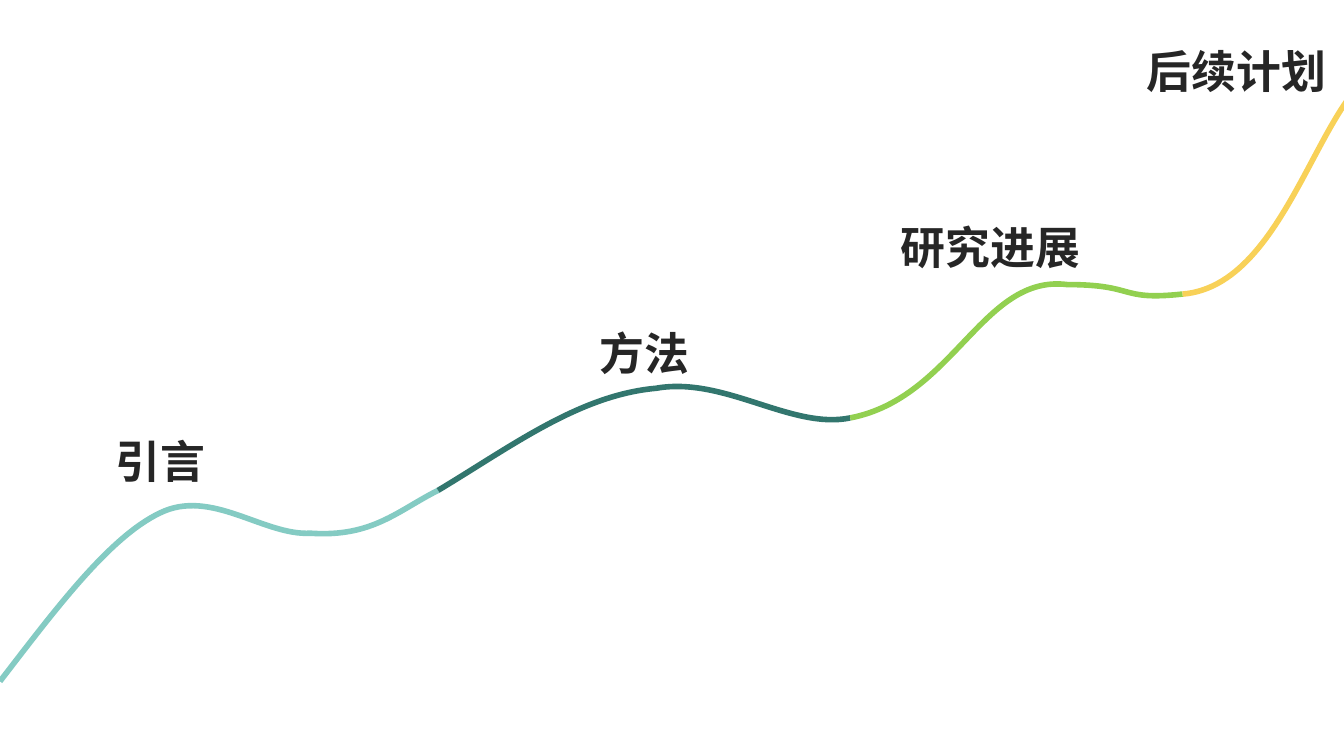
"""Build an outline slide whose sections sit on a rising four-colour curve."""
from pptx import Presentation
from pptx.dml.color import RGBColor
from pptx.enum.shapes import MSO_SHAPE
from pptx.enum.text import MSO_ANCHOR, MSO_AUTO_SIZE, PP_ALIGN
from pptx.oxml.ns import qn
from pptx.oxml.xmlchemy import OxmlElement
from pptx.util import Cm, Pt

INK = RGBColor(0x26, 0x26, 0x26)
AQUA = RGBColor(0x84, 0xCB, 0xC3)
TEAL = RGBColor(0x32, 0x76, 0x6E)
GREEN = RGBColor(0x92, 0xD0, 0x50)
YELLOW = RGBColor(0xF8, 0xD1, 0x58)

FONT = "Arial Narrow"
LABEL_HEIGHT = 1.42

LABELS = [
    ("研究进展", 16.7, 3.96, 4.04, False),
    ("方法", 11, 5.95, 2.36, False),
    ("引言", 0.9, 8, 4.27, True),
    ("后续计划", 21.35, 0.63, 4.04, False),
]

CURVES = [
    (AQUA, [(0, 12.88), (1.04, 11.53), (2.06, 10.16), (3.02, 9.7),
            (3.99, 9.22), (4.98, 10.13), (5.87, 10.08),
            (7.04, 10.16), (7.52, 9.65), (8.28, 9.27)]),
    (TEAL, [(8.28, 9.27), (9.68, 8.43), (10.95, 7.47), (12.4, 7.34),
            (13.69, 7.11), (14.96, 8.13), (16.07, 7.9)]),
    (GREEN, [(16.07, 7.9), (18.03, 7.52), (18.57, 5.18), (20.17, 5.38),
             (21.49, 5.38), (21.13, 5.69), (22.35, 5.56)]),
    (YELLOW, [(22.35, 5.56), (24.54, 5.38), (25.04, 0.94), (26.54, 1.24)]),
]


def add_label(slide, text, left, top, width, wrap):
    shape = slide.shapes.add_shape(
        MSO_SHAPE.ROUNDED_RECTANGLE, Cm(left), Cm(top), Cm(width), Cm(LABEL_HEIGHT)
    )
    shape.shadow.inherit = False
    shape.fill.background()
    shape.line.fill.background()
    text_frame = shape.text_frame
    text_frame.text = text
    text_frame.word_wrap = wrap
    text_frame.auto_size = MSO_AUTO_SIZE.SHAPE_TO_FIT_TEXT
    text_frame.vertical_anchor = MSO_ANCHOR.MIDDLE
    paragraph = text_frame.paragraphs[0]
    paragraph.alignment = PP_ALIGN.CENTER
    font = paragraph.runs[0].font
    font.name = FONT
    font.size = Pt(24)
    font.bold = True
    font.color.rgb = INK


def bend_segments(shape, points, left, top):
    lines = list(shape._element.iter(qn("a:lnTo")))
    for index, line in enumerate(lines):
        bezier = OxmlElement("a:cubicBezTo")
        for x, y in points[3 * index + 1:3 * index + 3]:
            control = OxmlElement("a:pt")
            control.set("x", str(x - left))
            control.set("y", str(y - top))
            bezier.append(control)
        bezier.append(line[0])
        line.getparent().replace(line, bezier)


def add_curve(group, color, controls):
    points = [(Cm(x), Cm(y)) for x, y in controls]
    first, *others = points[::3]
    builder = group.shapes.build_freeform(*first)
    builder.add_line_segments(others, close=False)
    shape = builder.convert_to_shape()
    bend_segments(shape, points, shape.left, shape.top)
    shape.shadow.inherit = False
    shape.fill.background()
    shape.line.color.rgb = color
    shape.line.width = Pt(3)


def main():
    presentation = Presentation()
    presentation.slide_width = Cm(25.4)
    presentation.slide_height = Cm(14.29)
    slide = presentation.slides.add_slide(presentation.slide_layouts[6])
    for label in LABELS:
        add_label(slide, *label)
    group = slide.shapes.add_group_shape()
    for color, controls in CURVES:
        add_curve(group, color, controls)
    presentation.save("out.pptx")


if __name__ == "__main__":
    main()
